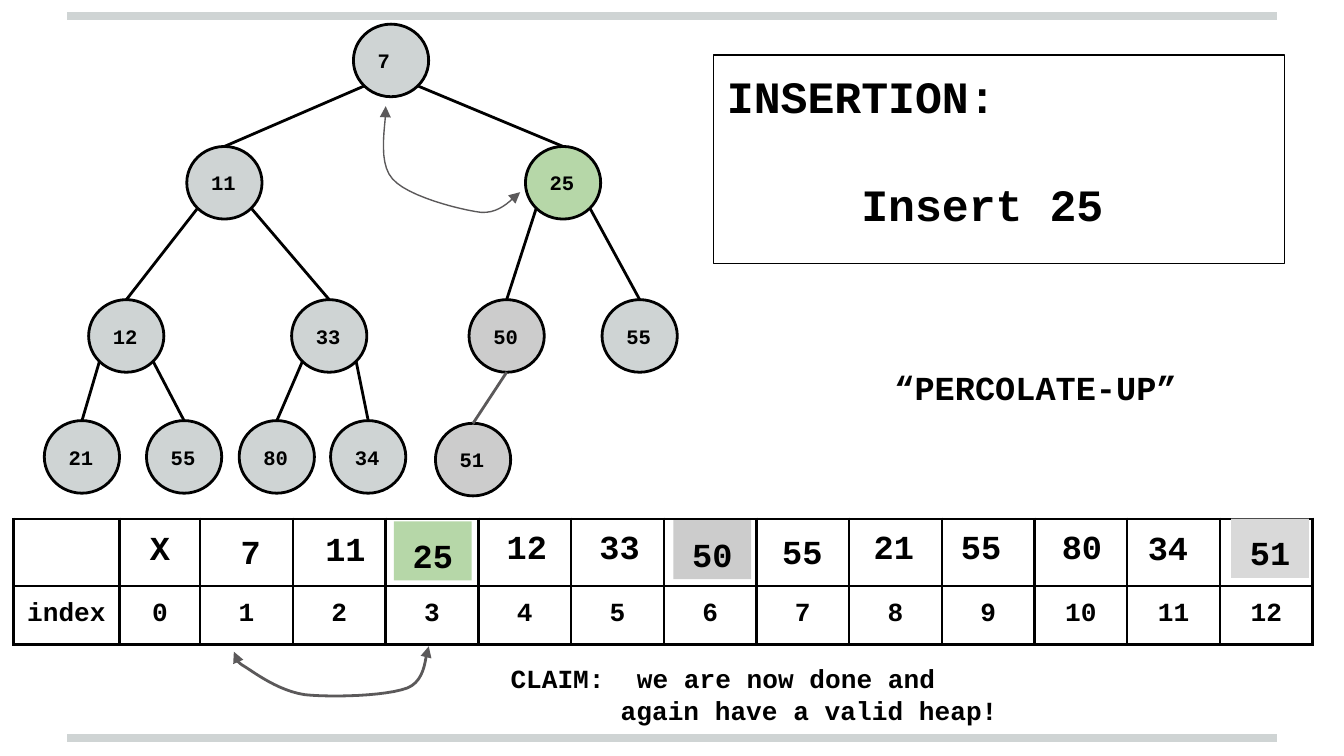
from pptx import Presentation
from pptx.dml.color import RGBColor
from pptx.enum.shapes import MSO_CONNECTOR, MSO_SHAPE
from pptx.enum.text import MSO_ANCHOR, PP_ALIGN
from pptx.oxml.xmlchemy import OxmlElement
from pptx.util import Inches, Pt

OVAL, RECT = MSO_SHAPE.OVAL, MSO_SHAPE.RECTANGLE
STRAIGHT = MSO_CONNECTOR.STRAIGHT
TOP, MIDDLE = MSO_ANCHOR.TOP, MSO_ANCHOR.MIDDLE
LEFT, CENTER = PP_ALIGN.LEFT, PP_ALIGN.CENTER
BLACK, PALE, GRAY, GREEN, DARK = "000000", "CFD4D4", "CCCCCC", "B6D7A8", "5B595A"


def style(shape, line=None, width=1.5, fill=None):
    if line:
        shape.line.color.rgb = RGBColor.from_string(line)
        shape.line.width = Pt(width)
    else:
        shape.line.fill.background()
    if fill:
        shape.fill.solid()
        shape.fill.fore_color.rgb = RGBColor.from_string(fill)
    elif hasattr(shape, "fill"):
        shape.fill.background()
    shape._element.spPr.append(OxmlElement("a:effectLst"))


def write(p, text, size, align=LEFT):
    p.alignment = align
    r = p.add_run()
    r.text = text
    r.font.name = "Courier New"
    r.font.size = Pt(size)
    r.font.bold = True
    r.font.color.rgb = RGBColor.from_string(BLACK)


prs = Presentation()
prs.slide_width = Inches(10)
prs.slide_height = prs.slide_width * 9 // 16
s = prs.slides.add_slide(prs.slide_layouts[6])

for y in (5.49, 0.12):
    rule = s.shapes.add_connector(STRAIGHT, Inches(0.5), Inches(y), Inches(9.5), Inches(y))
    style(rule, PALE, 4)

nodes = {
    1: ("7", 2.63, 0.18, PALE),
    2: ("11", 1.39, 1.09, PALE),
    3: ("25", 3.91, 1.09, GREEN),
    4: ("12", 0.66, 2.23, PALE),
    5: ("33", 2.17, 2.23, PALE),
    6: ("50", 3.49, 2.23, GRAY),
    7: ("55", 4.48, 2.23, PALE),
    8: ("21", 0.33, 3.13, PALE),
    9: ("55", 1.09, 3.13, PALE),
    10: ("80", 1.78, 3.13, PALE),
    11: ("34", 2.46, 3.13, PALE),
    12: ("51", 3.24, 3.15, GRAY),
}
NODE_W, NODE_H = 0.56, 0.54
for value, x, y, fill in nodes.values():
    node = s.shapes.add_shape(OVAL, Inches(x), Inches(y), Inches(NODE_W), Inches(NODE_H))
    style(node, BLACK, 1.5, fill)
    node.text_frame.vertical_anchor = MIDDLE
    write(node.text_frame.paragraphs[0], value, 11)

for i, (value, x, y, fill) in nodes.items():
    if i == 1:
        continue
    parent_x, parent_y = nodes[i // 2][1:3]
    dx, dy, color = (-0.2 if i % 2 == 0 else 0.2), 0.46, BLACK
    if i == 12:
        dx, dy, color = 0, NODE_H, DARK
    edge = s.shapes.add_connector(
        STRAIGHT, Inches(parent_x + NODE_W / 2 + dx), Inches(parent_y + dy),
        Inches(x + NODE_W / 2), Inches(y))
    style(edge, color)

box = s.shapes.add_shape(RECT, Inches(5.31), Inches(0.41), Inches(4.25), Inches(1.55))
style(box, BLACK, 0.75)
tf = box.text_frame
tf.vertical_anchor = TOP
write(tf.paragraphs[0], "INSERTION:", 24)
p = tf.add_paragraph()
p._p.get_or_add_pPr().set("marL", str(Inches(1)))
p.space_before = Pt(29)
write(p, "Insert 25", 24)

percolate = s.shapes.add_textbox(Inches(6.43), Inches(2.38), Inches(2.55), Inches(0.86))
write(percolate.text_frame.paragraphs[0], "“PERCOLATE-UP”", 18, CENTER)

columns = [0.79, 0.6] + [0.69] * 12
rows = [0.48, 0.42]
table = s.shapes.add_table(2, len(columns), Inches(0.1), Inches(3.86),
                           Inches(sum(columns)), Inches(sum(rows))).table
table.first_row = table.horz_banding = False
for column, width in zip(table.columns, columns):
    column.width = Inches(width)
for row, height in zip(table.rows, rows):
    row.height = Inches(height)
write(table.cell(0, 1).text_frame.paragraphs[0], "X", 18, CENTER)
for c, label in enumerate(["index", *map(str, range(13))]):
    write(table.cell(1, c).text_frame.paragraphs[0], label, 14, CENTER)
for cell in table.iter_cells():
    if cell.text_frame.text:
        cell.margin_top = cell.margin_bottom = Inches(0.1)
    tcPr = cell._tc.get_or_add_tcPr()
    for side in ("a:lnL", "a:lnR", "a:lnT", "a:lnB"):
        border = OxmlElement(side)
        border.set("w", str(Pt(1.5)))
        solid = OxmlElement("a:solidFill")
        color = OxmlElement("a:srgbClr")
        color.set("val", BLACK)
        solid.append(color)
        border.append(solid)
        tcPr.append(border)
    cell.fill.background()

array_values = [
    ("7", 1.65, 3.85, 0.43, None),
    ("33", 4.32, 3.81, 0.58, None),
    ("11", 2.28, 3.83, 0.58, None),
    ("12", 3.63, 3.81, 0.58, None),
    ("50", 5.01, 3.87, 0.58, GRAY),
    ("55", 5.68, 3.85, 0.58, None),
    ("21", 6.36, 3.81, 0.58, None),
    ("55", 7.01, 3.81, 0.58, None),
    ("34", 8.4, 3.82, 0.58, None),
    ("80", 7.76, 3.81, 0.58, None),
    ("51", 9.16, 3.86, 0.58, "D9D9D9"),
    ("25", 2.93, 3.88, 0.58, GREEN),
]
for value, x, y, width, fill in array_values:
    place = Inches(x), Inches(y), Inches(width), Inches(0.44)
    if fill:
        item = s.shapes.add_shape(RECT, *place)
        style(item, fill=fill)
    else:
        item = s.shapes.add_textbox(*place)
    item.text_frame.vertical_anchor = TOP
    write(item.text_frame.paragraphs[0], value, 18, CENTER)

swap_arrows = [
    (0.75, [(2.87, 0.79), (2.88, 0.88), (2.8, 1.2), (2.92, 1.33), (3.03, 1.46),
            (3.42, 1.56), (3.58, 1.58), (3.74, 1.59), (3.83, 1.45), (3.87, 1.43)]),
    (1.5, [(1.74, 4.85), (1.75, 4.86), (1.73, 4.91), (1.82, 4.96), (1.9, 5.01),
           (2.07, 5.14), (2.27, 5.17), (2.47, 5.19), (2.87, 5.18), (3.03, 5.12),
           (3.18, 5.06), (3.16, 4.86), (3.19, 4.81)]),
]
STEPS = 12
for width, controls in swap_arrows:
    points = []
    for k in range(0, len(controls) - 1, 3):
        for step in range(1, STEPS + 1):
            t = step / STEPS
            weights = ((1 - t) ** 3, 3 * t * (1 - t) ** 2, 3 * t * t * (1 - t), t ** 3)
            points.append(tuple(
                Inches(sum(w * c[axis] for w, c in zip(weights, controls[k:k + 4])))
                for axis in (0, 1)))
    x, y = controls[0]
    builder = s.shapes.build_freeform(Inches(x), Inches(y))
    builder.add_line_segments(points, close=False)
    arrow = builder.convert_to_shape()
    style(arrow, DARK, width)
    for end in ("a:headEnd", "a:tailEnd"):
        tip = OxmlElement(end)
        tip.set("type", "triangle")
        arrow.line._get_or_add_ln().append(tip)

claim = s.shapes.add_textbox(Inches(3.7), Inches(4.83), Inches(4.25), Inches(0.68))
p = claim.text_frame.paragraphs[0]
tabs = OxmlElement("a:tabLst")
tab = OxmlElement("a:tab")
tab.set("pos", str(Inches(0.94)))
tab.set("algn", "l")
tabs.append(tab)
p._p.get_or_add_pPr().append(tabs)
write(p, "CLAIM:\twe are now done and", 14)
p = claim.text_frame.add_paragraph()
p._p.get_or_add_pPr().set("marL", str(Inches(0.82)))
write(p, "again have a valid heap!", 14)

for shape in s.shapes:
    if shape.has_text_frame:
        tf = shape.text_frame
        tf.word_wrap = True
        tf.margin_left = tf.margin_right = tf.margin_top = tf.margin_bottom = Inches(0.1)
percolate.text_frame.margin_top = Inches(0.5)

prs.save("out.pptx")
